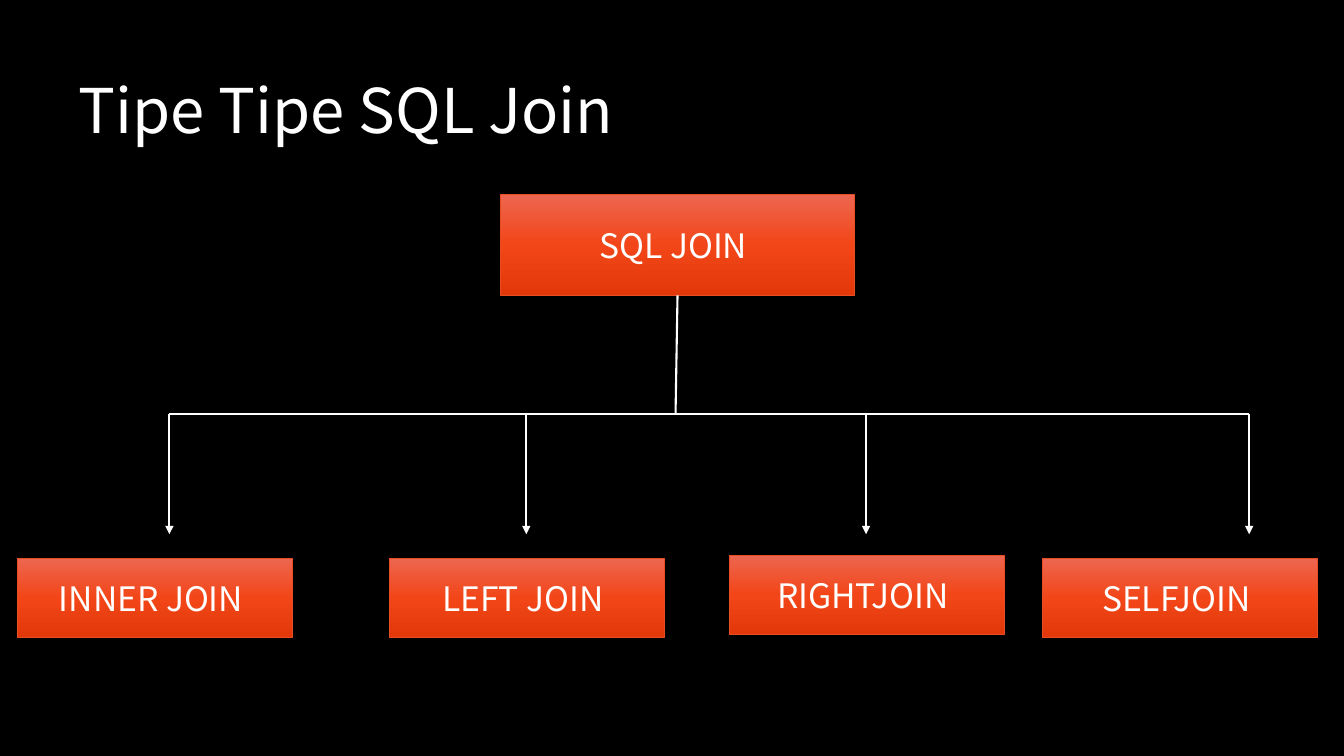
import copy

import pptx
import pptx.dml.color
import pptx.enum.shapes
import pptx.enum.text
import pptx.oxml
import pptx.oxml.ns
import pptx.util

Inches = pptx.util.Inches
Pt = pptx.util.Pt
RGBColor = pptx.dml.color.RGBColor
PP_ALIGN = pptx.enum.text.PP_ALIGN
MSO_ANCHOR = pptx.enum.text.MSO_ANCHOR
qn = pptx.oxml.ns.qn

FONT = "Noto Sans CJK SC"
BLACK = RGBColor(0x00, 0x00, 0x00)
WHITE = RGBColor(0xFF, 0xFF, 0xFF)
BORDER = RGBColor(0xE8, 0x4C, 0x22)
GRADIENT = [
    (0, RGBColor(0xED, 0x66, 0x50)),
    (0.5, RGBColor(0xF2, 0x46, 0x18)),
    (1, RGBColor(0xE2, 0x38, 0x0A)),
]

ROOT_X, ROOT_BOTTOM = 6.72, 2.93
BUS_X, BUS_Y, ARROW_Y = 6.7, 4.11, 5.3
BOX_W, BOX_H = 2.73, 0.78

# Join type, box left, box top, arrow x
JOINS = [
    ("INNER JOIN ", 0.17, 5.54, 1.68),
    ("LEFT JOIN ", 3.86, 5.54, 5.22),
    ("RIGHTJOIN ", 7.23, 5.51, 8.59),
    ("SELFJOIN ", 10.34, 5.54, 12.39),
]


def set_text(sp, text, size, align, anchor):
    tf = sp.text_frame
    tf.word_wrap = True
    tf.vertical_anchor = anchor
    p = tf.paragraphs[0]
    p.text = text
    p.alignment = align
    p.font.name = FONT
    p.font.size = Pt(size)
    p.font.color.rgb = WHITE


def add_title(slide, text):
    sp = slide.shapes.title
    sp.left, sp.top = Inches(0.68), Inches(0.25)
    sp.width, sp.height = Inches(7.8), Inches(1.25)
    set_text(sp, text, 44, PP_ALIGN.LEFT, MSO_ANCHOR.BOTTOM)


def fill_gradient(sp):
    sp.fill.gradient()
    sp.fill.gradient_angle = 270  # counter-clockwise: top to bottom
    stops = next(sp._element.spPr.iter(qn("a:gsLst")))
    stops.append(copy.deepcopy(stops[0]))
    for stop, (position, color) in zip(sp.fill.gradient_stops, GRADIENT):
        stop.position = position
        stop.color.rgb = color


def add_box(slide, text, left, top, width, height):
    sp = slide.shapes.add_shape(
        pptx.enum.shapes.MSO_SHAPE.RECTANGLE,
        Inches(left), Inches(top), Inches(width), Inches(height))
    sp.shadow.inherit = False
    fill_gradient(sp)
    sp.line.color.rgb = BORDER
    sp.line.width = Pt(0.5)
    set_text(sp, text, 24, PP_ALIGN.CENTER, MSO_ANCHOR.MIDDLE)


def add_line(slide, x1, y1, x2, y2, arrow=False):
    cxn = slide.shapes.add_connector(
        pptx.enum.shapes.MSO_CONNECTOR.STRAIGHT,
        Inches(x1), Inches(y1), Inches(x2), Inches(y2))
    cxn.line.color.rgb = WHITE
    cxn.line.width = Pt(1.5)
    spPr = cxn._element.spPr
    if arrow:
        tail = pptx.oxml.parse_xml(
            f'<a:tailEnd {pptx.oxml.ns.nsdecls("a")} type="triangle"/>')
        spPr.find(qn("a:ln")).append(tail)
    spPr.append(pptx.oxml.parse_xml(
        f'<a:effectLst {pptx.oxml.ns.nsdecls("a")}/>'))


def main():
    prs = pptx.Presentation()
    prs.slide_width, prs.slide_height = Inches(13.33), Inches(7.5)
    slide = prs.slides.add_slide(prs.slide_layouts[5])
    slide.background.fill.solid()
    slide.background.fill.fore_color.rgb = BLACK

    add_title(slide, "Tipe Tipe SQL Join ")

    # Root box, its stem and the two halves of the crossbar
    add_box(slide, "SQL JOIN ", 4.96, 1.93, 3.51, 1)
    add_line(slide, ROOT_X, ROOT_BOTTOM, BUS_X, BUS_Y)
    for end in (JOINS[0], JOINS[-1]):
        add_line(slide, BUS_X, BUS_Y, end[3], BUS_Y)

    # Join types with their arrows
    for text, left, top, x in JOINS:
        add_line(slide, x, BUS_Y, x, ARROW_Y, arrow=True)
        add_box(slide, text, left, top, BOX_W, BOX_H)

    prs.save("out.pptx")


main()
